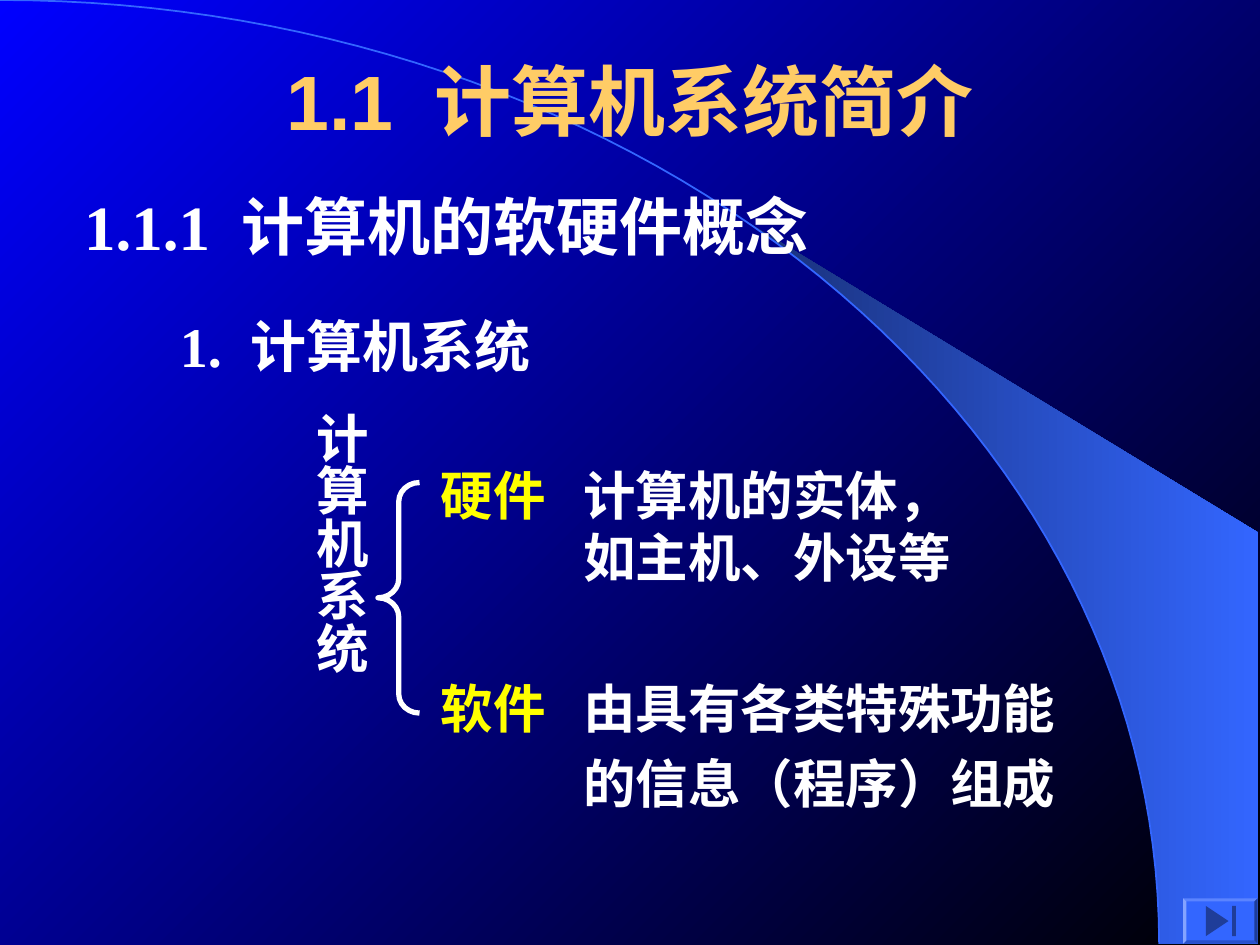
from math import asin, cos, pi, sin

from pptx import Presentation
from pptx.dml.color import RGBColor
from pptx.enum.shapes import MSO_SHAPE
from pptx.enum.text import MSO_ANCHOR, MSO_AUTO_SIZE, PP_ALIGN
from pptx.oxml.ns import qn
from pptx.util import Inches, Pt

CJK = "Noto Sans CJK SC"
SERIF = "Times New Roman"
WHITE, YELLOW, GOLD = "FFFFFF", "FFFF00", "FFCC66"
BLUE, NAVY, DARK = "3366FF", "182F76", "1F3D99"
ARC_W, ARC_H = 9.2, 7.49


def rgb(value):
    """Return the colour for a hex string."""
    return RGBColor.from_string(value)


def fill_gradient(fill, start, end, angle=0):
    """Apply a two-stop linear gradient."""
    fill.gradient()
    fill.gradient_angle = angle
    for stop, color in zip(fill.gradient_stops, (start, end)):
        stop.color.rgb = rgb(color)


def style_shape(sp, fill=None, line=None, width=1):
    """Set fill and line and drop the shadow."""
    sp.shadow.inherit = False
    if fill:
        sp.fill.solid()
        sp.fill.fore_color.rgb = rgb(fill)
    else:
        sp.fill.background()
    if line:
        sp.line.color.rgb = rgb(line)
        sp.line.width = Pt(width)
    else:
        sp.line.fill.background()
    return sp


def add_path(s, points, closed=True, **style):
    """Draw straight segments through points given in inches."""
    pts = [(Inches(x), Inches(y)) for x, y in points]
    builder = s.shapes.build_freeform(*pts[0])
    builder.add_line_segments(pts[1:], close=closed)
    return style_shape(builder.convert_to_shape(), **style)


def add_preset(s, kind, x, y, w, h, **style):
    """Draw a preset shape."""
    sp = s.shapes.add_shape(kind, Inches(x), Inches(y), Inches(w), Inches(h))
    return style_shape(sp, **style)


def arc_points(start=0, steps=60):
    """Return points along the quarter ellipse from an angle to its foot."""
    angles = [start + (pi / 2 - start) * i / steps for i in range(steps + 1)]
    return [(ARC_W * sin(t), ARC_H * (1 - cos(t))) for t in angles]


def add_run(p, text, size, color, font):
    """Add a bold run with Latin and East Asian fonts."""
    r = p.add_run()
    r.text = text
    r.font.size, r.font.bold, r.font.name = Pt(size), True, font
    r.font.color.rgb = rgb(color)
    r.font._rPr.get_or_add_latin().addnext(
        r.font._rPr.makeelement(qn("a:ea"), {"typeface": CJK}))
    return r


def write_line(p, text, size=30, color=WHITE, font=CJK):
    """Write a line, with a wide gap after its section number."""
    number, gap, label = text.rpartition(" ")
    if gap:
        add_run(p, number, size, color, font)
        space = add_run(p, gap, size, color, font)
        space.font._rPr.set("spc", str(size * 25))
    add_run(p, label, size, color, font)


def add_text(s, lines, x, y, w, h, size=30, before=0, wrap=True, vertical=False, **fmt):
    """Add a text box with one paragraph for each line."""
    sp = s.shapes.add_textbox(Inches(x), Inches(y), Inches(w), Inches(h))
    tf = sp.text_frame
    tf.word_wrap = wrap
    if vertical:
        tf._txBody.bodyPr.set("vert", "eaVert")
        tf.margin_left = tf.margin_right = Inches(0.05)
        tf.margin_top = tf.margin_bottom = Inches(0.1)
    else:
        tf.margin_top = Inches(0.05) + Pt(size * 0.13)
    for i, line in enumerate(lines):
        p = tf.add_paragraph() if i else tf.paragraphs[0]
        p.line_spacing = Pt(size * 1.18)
        if i:
            p.space_before = Pt(before)
        if vertical:
            p.alignment = PP_ALIGN.CENTER
        write_line(p, line, size, **fmt)


def add_title(s, text):
    """Place the title above the backdrop."""
    sp = s.shapes.title
    sp.element.getparent().append(sp.element)
    sp.left, sp.top = Inches(0.75), Inches(0.17)
    sp.width, sp.height = Inches(8.5), Inches(1.25)
    tf = sp.text_frame
    tf.auto_size = MSO_AUTO_SIZE.NONE
    tf.vertical_anchor = MSO_ANCHOR.MIDDLE
    p = tf.paragraphs[0]
    p.alignment = PP_ALIGN.CENTER
    write_line(p, text, 44, GOLD, "Arial")


def add_backdrop(s):
    """Draw the gradient background, the swoosh and the arc."""
    fill_gradient(s.background.fill, "0000FF", "000000", 315)
    edge = arc_points(asin(5.89 / ARC_W))
    swoosh = add_path(s, edge + [(9.99, 7.49), (9.99, 4.23)])
    fill_gradient(swoosh.fill, NAVY, BLUE)
    add_path(s, arc_points(), closed=False, line=BLUE)


def add_button(s):
    """Draw the bevelled button that leads to the end."""
    bevel = add_preset(s, MSO_SHAPE.BEVEL, 9.39, 7.13, 0.59, 0.36, fill=BLUE)
    bevel.adjustments[0] = 0.07
    add_path(s, [(9.75, 7.31), (9.57, 7.43), (9.57, 7.19)], fill=DARK)
    add_preset(s, MSO_SHAPE.RECTANGLE, 9.78, 7.19, 0.03, 0.24, fill=DARK)


def main():
    """Build the slide and save it."""
    prs = Presentation()
    prs.slide_width, prs.slide_height = Inches(10), Inches(7.5)
    s = prs.slides.add_slide(prs.slide_layouts[5])
    add_backdrop(s)
    add_title(s, "1.1 计算机系统简介")
    add_text(s, ["1.1.1 计算机的软硬件概念"], 0.57, 1.38, 9, 0.7, size=36, font=SERIF)
    add_text(s, ["1. 计算机系统"], 1.33, 2.37, 5.33, 0.64, size=32, font=SERIF)
    add_text(s, ["计算机系统"], 2.3, 3.17, 0.7, 3.17, vertical=True)
    brace = add_preset(s, MSO_SHAPE.LEFT_BRACE, 3, 3.83, 0.33, 1.83, line=WHITE, width=3)
    brace.adjustments[0] = 0.46
    for label, y in (("硬件", 3.58), ("软件", 5.27)):
        add_text(s, [label], 3.4, y, 1.03, 0.6, color=YELLOW, wrap=False)
    add_text(s, ["计算机的实体，", "如主机、外设等"], 4.53, 3.58, 3.14, 1.1)
    add_text(s, ["由具有各类特殊功能", "的信息（程序）组成"], 4.53, 5.27, 4.17, 1.21,
             before=7.5, font=SERIF)
    add_button(s)
    prs.save("out.pptx")


if __name__ == "__main__":
    main()
